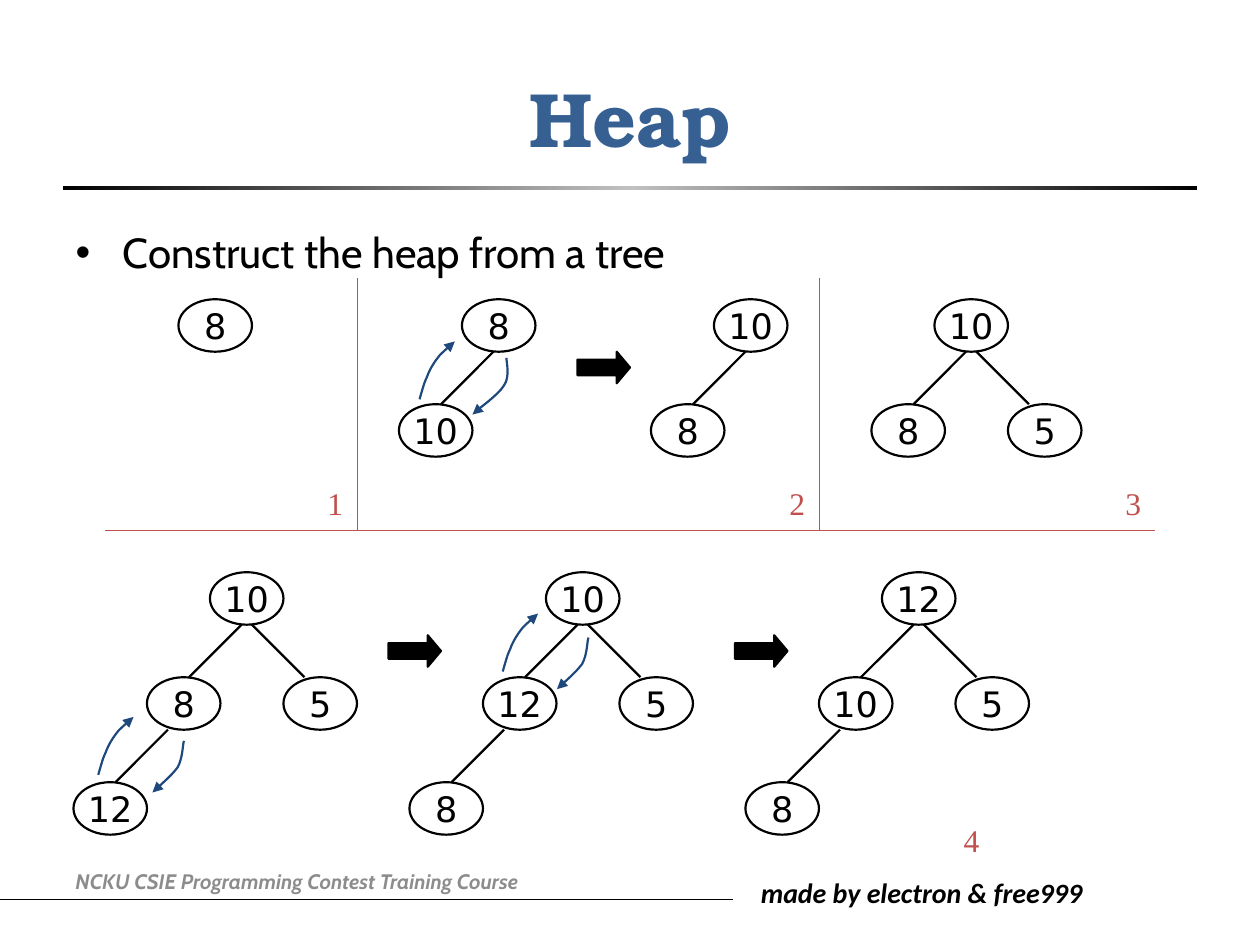
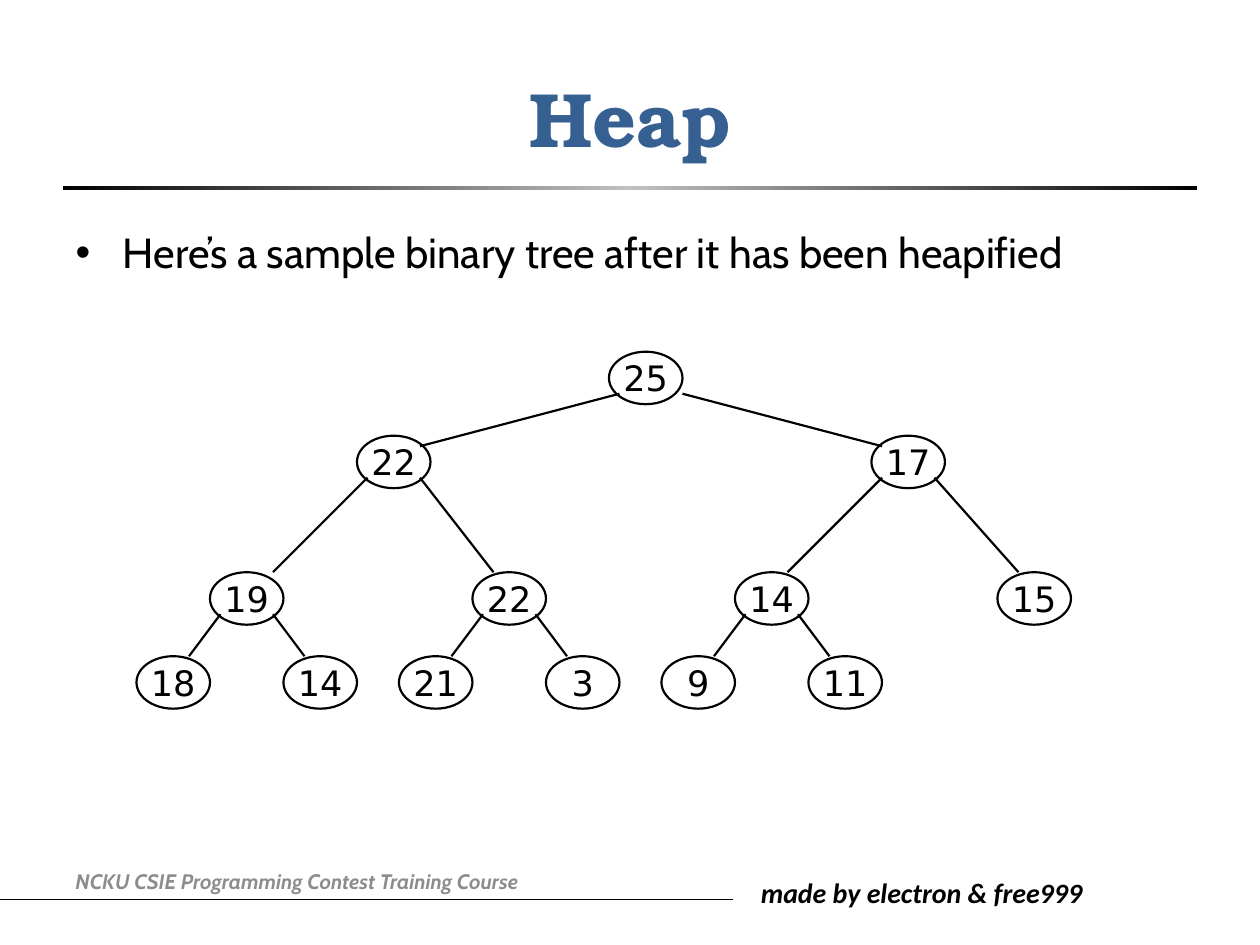
from copy import deepcopy
from dataclasses import dataclass

from lxml import etree
from pptx import Presentation
from pptx.dml.color import RGBColor
from pptx.enum.shapes import MSO_CONNECTOR, MSO_SHAPE
from pptx.enum.text import MSO_ANCHOR, PP_ALIGN
from pptx.oxml.ns import qn
from pptx.util import Inches, Pt

STRAIGHT = MSO_CONNECTOR.STRAIGHT
ELLIPSE, RECTANGLE = MSO_SHAPE.OVAL, MSO_SHAPE.RECTANGLE
RIGHT_ARROW = MSO_SHAPE.RIGHT_ARROW
MIDDLE, TOP = MSO_ANCHOR.MIDDLE, MSO_ANCHOR.TOP
LEFT, CENTER = PP_ALIGN.LEFT, PP_ALIGN.CENTER
TITLE_AND_CONTENT = 1

# The diagrams lie on a grid of twelfths of an inch
NODE_WIDTH, NODE_HEIGHT = 7, 5


def grid(units):
    return Inches(units / 12)


@dataclass(frozen=True)
class TextStyle:
    font: str
    size: float
    color: RGBColor
    bold: bool = False
    italic: bool = False


@dataclass(frozen=True)
class Theme:
    ink: RGBColor = RGBColor(0, 0, 0)
    silver: RGBColor = RGBColor(0xC0, 0xC0, 0xC0)
    swap: RGBColor = RGBColor(0x1F, 0x49, 0x7D)
    divider: RGBColor = RGBColor(0xC0, 0x50, 0x4D)
    thin: float = 0.5
    medium: float = 1.25
    title: TextStyle = TextStyle("TeX Gyre Bonum", 44, RGBColor(0x37, 0x60, 0x92), bold=True)
    body: TextStyle = TextStyle("Cabin", 24, ink)
    node: TextStyle = TextStyle("DejaVu Sans", 20, ink)
    step: TextStyle = TextStyle("Times New Roman", 18, divider)
    course: TextStyle = TextStyle("Cabin", 12, RGBColor(0x8C, 0x8C, 0x8C), True, True)
    credit: TextStyle = TextStyle("Calibri", 16, ink, True, True)


class Deck:
    def __init__(self, theme):
        self.theme = theme
        self.presentation = Presentation()
        self.presentation.slide_width = Inches(10)
        self.presentation.slide_height = Inches(7.5)
        self.slide = None

    def add_slide(self, title, bullet):
        theme = self.theme
        layout = self.presentation.slide_layouts[TITLE_AND_CONTENT]
        self.slide = self.presentation.slides.add_slide(layout)
        # Footer and title rule
        self.line((Inches(0), Inches(7.14)), (Inches(5.82), Inches(7.14)), theme.ink, theme.thin)
        self.text("made by electron & free999", theme.credit, Inches(5.94), Inches(6.9),
                  Inches(2.88), Inches(0.37))
        self.text("NCKU CSIE Programming Contest Training Course", theme.course,
                  Inches(0.5), Inches(6.79), Inches(4.66), Inches(0.4), MIDDLE)
        self.title_rule()
        # Title and list
        self.placeholder(self.slide.shapes.title, title, theme.title, 0.3, 1.25)
        self.placeholder(self.slide.placeholders[1], bullet, theme.body, 1.75, 4.95)

    def set_text(self, shape, text, style, alignment=None):
        shape.text_frame.text = text
        paragraph = shape.text_frame.paragraphs[0]
        if alignment is not None:
            paragraph.alignment = alignment
        font = paragraph.runs[0].font
        font.name, font.size = style.font, Pt(style.size)
        font.bold, font.italic = style.bold, style.italic
        font.color.rgb = style.color

    def placeholder(self, shape, text, style, top, height):
        shape.left, shape.top = Inches(0.5), Inches(top)
        shape.width, shape.height = Inches(9), Inches(height)
        self.set_text(shape, text, style)

    def text(self, text, style, left, top, width, height, anchor=TOP):
        box = self.slide.shapes.add_textbox(left, top, width, height)
        box.text_frame.word_wrap = True
        box.text_frame.vertical_anchor = anchor
        self.set_text(box, text, style, LEFT)

    def title_rule(self):
        rule = self.slide.shapes.add_shape(
            RECTANGLE, Inches(0.5), Inches(1.48), Inches(9), Inches(0.03))
        rule.shadow.inherit = False
        rule.line.fill.background()
        rule.fill.gradient()
        rule.fill.gradient_angle = 0
        stop_list = rule._element.spPr.find(".//" + qn("a:gsLst"))
        stop_list.insert(1, deepcopy(stop_list[0]))
        colors = (self.theme.ink, self.theme.silver, self.theme.ink)
        for index, (stop, color) in enumerate(zip(rule.fill.gradient_stops, colors)):
            stop.position = index / 2
            stop.color.rgb = color

    def line(self, start, end, color, width, shapes=None):
        shapes = self.slide.shapes if shapes is None else shapes
        connector = shapes.add_connector(STRAIGHT, *start, *end)
        connector.line.color.rgb = color
        connector.line.width = Pt(width)
        etree.SubElement(connector._element.spPr, qn("a:effectLst"))

    def outline(self, shape, color):
        shape.shadow.inherit = False
        shape.line.color.rgb = color
        shape.line.width = Pt(self.theme.medium)

    def node(self, shapes, label, x, y):
        node = shapes.add_shape(ELLIPSE, grid(x), grid(y), grid(NODE_WIDTH), grid(NODE_HEIGHT))
        self.outline(node, self.theme.ink)
        node.fill.background()
        node.text_frame.word_wrap = False
        node.text_frame.vertical_anchor = MIDDLE
        self.set_text(node, str(label), self.theme.node, CENTER)

    def tree(self, labels, positions, edges):
        """Draw a heap array; edges holds the joints on parent and child."""
        shapes = self.slide.shapes.add_group_shape().shapes
        for index, (label, (x, y)) in enumerate(zip(labels, positions)):
            self.node(shapes, label, x, y)
            if index:
                parent_x, parent_y = positions[(index - 1) // 2]
                (start_x, start_y), (end_x, end_y) = edges[index - 1]
                self.line((grid(parent_x + start_x), grid(parent_y + start_y)),
                          (grid(x + end_x), grid(y + end_y)),
                          self.theme.ink, self.theme.medium, shapes)

    def block_arrow(self, x, y):
        arrow = self.slide.shapes.add_shape(RIGHT_ARROW, grid(x), grid(y), grid(5), grid(3))
        self.outline(arrow, self.theme.ink)
        arrow.fill.solid()
        arrow.fill.fore_color.rgb = self.theme.ink
        arrow.adjustments[0], arrow.adjustments[1] = 0.5, 0.42

    def curved_arrow(self, shapes, x, y, curve):
        points = [(Inches(x + dx), Inches(y + dy)) for dx, dy in bezier_points(curve)]
        builder = shapes.build_freeform(*points[0])
        builder.add_line_segments(points[1:], close=False)
        arrow = builder.convert_to_shape()
        arrow.fill.background()
        self.outline(arrow, self.theme.swap)
        etree.SubElement(arrow._element.spPr.find(qn("a:ln")), qn("a:tailEnd"), type="triangle")

    def swap(self, up_start, down_start, down_curve):
        shapes = self.slide.shapes.add_group_shape().shapes
        self.curved_arrow(shapes, *up_start, SWAP_UP)
        self.curved_arrow(shapes, *down_start, down_curve)


def bezier_points(curve, steps=8):
    """Sample a chain of cubic curves that share their end points."""
    points = [curve[0]]
    for first in range(0, len(curve) - 1, 3):
        controls = curve[first:first + 4]
        for step in range(1, steps + 1):
            t = step / steps
            weights = ((1 - t) ** 3, 3 * t * (1 - t) ** 2, 3 * t * t * (1 - t), t ** 3)
            points.append(tuple(sum(weight * control[axis]
                                    for weight, control in zip(weights, controls))
                                for axis in (0, 1)))
    return points


# Swap arrows, in inches from their start
SWAP_UP = [(0, 0), (0.01, -0.03), (0.03, -0.12), (0.06, -0.18), (0.08, -0.24),
           (0.12, -0.3), (0.16, -0.35), (0.2, -0.39), (0.26, -0.44), (0.28, -0.46)]
SWAP_DOWN_WIDE = [(0, 0), (0, 0.04), (0.03, 0.15), (-0.02, 0.22),
                  (-0.07, 0.3), (-0.22, 0.4), (-0.27, 0.45)]
SWAP_DOWN = [(0, 0), (-0.01, 0.03), (-0.01, 0.14), (-0.05, 0.21),
             (-0.1, 0.28), (-0.21, 0.37), (-0.25, 0.41)]

# Construction trees: node offsets from the root, and edge joints
STEP_OFFSETS = [(0, 0), (-6, 10), (7, 10), (-13, 20)]
STEP_EDGES = [((3, 5), (4, 0)), ((4, 5), (2, 0)), ((2, 5), (4, 0))]
UPPER_ROW, LOWER_ROW = 28.5, 54.5
STEP_TREES = [
    (17, UPPER_ROW, [8]),
    (44, UPPER_ROW, [8, 10]),
    (68, UPPER_ROW, [10, 8]),
    (89, UPPER_ROW, [10, 8, 5]),
    (20, LOWER_ROW, [10, 8, 5, 12]),
    (52, LOWER_ROW, [10, 12, 5, 8]),
    (84, LOWER_ROW, [12, 10, 5, 8]),
]

# Sample heap
HEAP = [25, 22, 17, 19, 22, 14, 15, 18, 14, 21, 3, 9, 11]
PARENT_X = [58, 34, 83, 20, 45, 70, 95]
HEAP_POSITIONS = list(zip(PARENT_X, [33.5] + [41.5] * 2 + [54.5] * 4))
HEAP_POSITIONS += [(x + side, 62.5) for x in PARENT_X[3:6] for side in (-7, 7)]
LEFT_EDGE, RIGHT_EDGE = ((1, 4), (5, 0)), ((6, 4), (2, 0))
HEAP_EDGES = [((1, 4), (6, 1)), ((7, 4), (1, 1)), ((1, 4), (6, 0)), RIGHT_EDGE]
HEAP_EDGES += [LEFT_EDGE, RIGHT_EDGE] * 4


def construction_slide(deck):
    theme = deck.theme
    deck.add_slide("Heap", "Construct the heap from a tree")
    # Panel dividers and step numbers
    for start, end in (((10, 50.5), (110, 50.5)), ((34, 26.5), (34, 50.5)),
                       ((78, 26.5), (78, 50.5))):
        deck.line(tuple(map(grid, start)), tuple(map(grid, end)), theme.divider, theme.thin)
    step_places = [(30, 45.5), (74, 45.5), (106, 45.5), (90.6, 77.6)]
    for number, (x, y) in enumerate(step_places, start=1):
        deck.text(str(number), theme.step, grid(x), grid(y), grid(5), Inches(0.4))
    # Trees
    for x, y, labels in STEP_TREES:
        positions = [(x + dx, y + dy) for dx, dy in STEP_OFFSETS]
        deck.tree(labels, positions, STEP_EDGES)
    # Transitions and swaps
    for x, y in ((55, 33.5), (37, 60.5), (70, 60.5)):
        deck.block_arrow(x, y)
    deck.swap((3.33, 3.17), (4.02, 2.84), SWAP_DOWN_WIDE)
    deck.swap((0.78, 6.15), (1.46, 5.88), SWAP_DOWN)
    deck.swap((3.99, 5.33), (4.67, 5.06), SWAP_DOWN)


def sample_slide(deck):
    deck.add_slide("Heap", "Here’s a sample binary tree after it has been heapified")
    deck.tree(HEAP, HEAP_POSITIONS, HEAP_EDGES)


def main():
    deck = Deck(Theme())
    construction_slide(deck)
    sample_slide(deck)
    deck.presentation.save("out.pptx")


if __name__ == "__main__":
    main()
